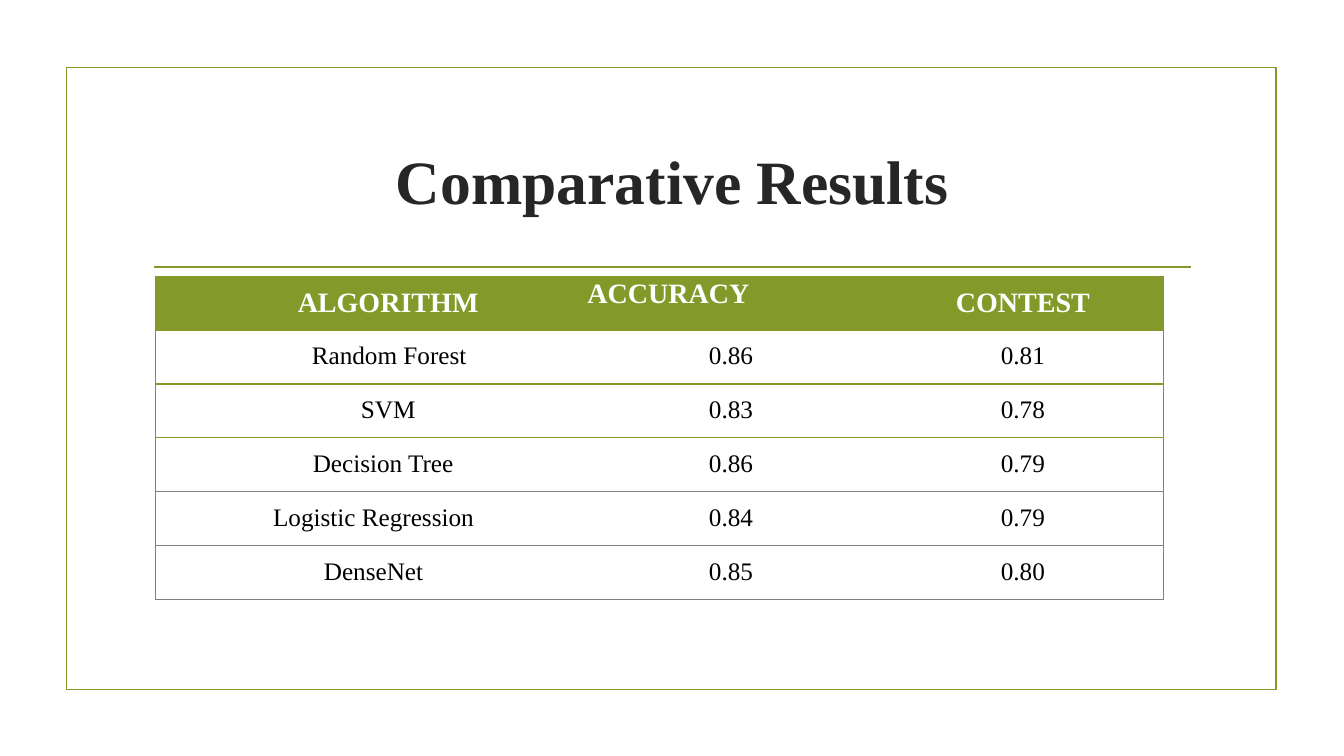
from lxml import etree
from pptx import Presentation
from pptx.dml.color import RGBColor
from pptx.enum.shapes import MSO_CONNECTOR, MSO_SHAPE
from pptx.enum.text import MSO_ANCHOR, PP_ALIGN
from pptx.oxml.ns import qn
from pptx.util import Inches, Pt

LINE, RECT = MSO_CONNECTOR.STRAIGHT, MSO_SHAPE.RECTANGLE
MIDDLE, CENTER = MSO_ANCHOR.MIDDLE, PP_ALIGN.CENTER
FONT = "Times New Roman"
GREEN, GRAY, WHITE, BLACK, DARK = "83992A", "808080", "FFFFFF", "000000", "262626"

HEADS = ["ALGORITHM", "ACCURACY", "CONTEST"]
ROWS = [
    ["Random Forest", "0.86", "0.81"],
    ["SVM", "0.83", "0.78"],
    ["Decision Tree", "0.86", "0.79"],
    ["Logistic Regression", "0.84", "0.79"],
    ["DenseNet", "0.85", "0.80"],
]
WIDTHS = [4.21, 3, 2.79]
HEIGHT = 0.535
# Left inset of the first column, header row first
INSETS = [0.41, 0.43, 0.41, 0.31, 0.12, 0.12]
# Colour of the rule above each row, and below the last
RULES = [GREEN, GREEN, GREEN, GREEN, GRAY, GRAY, GRAY]


def color(code):
    return RGBColor.from_string(code)


def write(frame, text, size, code, bold=False):
    para = frame.paragraphs[0]
    para.alignment = CENTER
    run = para.add_run()
    run.text = text
    font = run.font
    font.name, font.size, font.bold = FONT, Pt(size), bold
    font.color.rgb = color(code)


def add_frame(slide, left, top, width, height):
    box = slide.shapes.add_shape(
        RECT, Inches(left), Inches(top), Inches(width), Inches(height))
    box.shadow.inherit = False
    box.fill.background()
    box.line.color.rgb = color(GREEN)
    box.line.width = Pt(1.25)


def add_rule(slide, left, right, top):
    rule = slide.shapes.add_connector(
        LINE, Inches(left), Inches(top), Inches(right), Inches(top))
    rule.line.color.rgb = color(GREEN)
    rule.line.width = Pt(1.25)
    etree.SubElement(rule._element.spPr, qn("a:effectLst"))


def add_title(slide, text, left, top, width, height):
    frame = slide.shapes.add_textbox(
        Inches(left), Inches(top), Inches(width), Inches(height)).text_frame
    frame.word_wrap = True
    frame.vertical_anchor = MIDDLE
    write(frame, text, 44, DARK, True)


def set_edge(cell, side, code):
    """Draw one cell side, or clear it when no colour is given."""
    props = cell._tc.get_or_add_tcPr()
    edge = etree.SubElement(props, qn("a:ln" + side))
    if code is None:
        etree.SubElement(edge, qn("a:noFill"))
        return
    edge.set("w", str(Pt(1 if code == GREEN else 0.75)))
    fill = etree.SubElement(edge, qn("a:solidFill"))
    etree.SubElement(fill, qn("a:srgbClr")).set("val", code)


def fill_cell(cell, text, row, col):
    head = row == 0
    side = GREEN if head else GRAY
    # Borders come before the fill
    set_edge(cell, "L", side if col == 0 else None)
    set_edge(cell, "R", side if col == len(WIDTHS) - 1 else None)
    set_edge(cell, "T", RULES[row])
    set_edge(cell, "B", RULES[row + 1])
    cell.fill.solid()
    cell.fill.fore_color.rgb = color(GREEN if head else WHITE)
    # Insets place the centred text
    cell.vertical_anchor = MIDDLE
    raised = head and col == 1
    cell.margin_left = Inches(INSETS[row] if col == 0 else 0)
    cell.margin_right = Inches(1.24 if raised else 0)
    cell.margin_top = 0
    cell.margin_bottom = Inches(0.18 if raised else 0 if head else 0.02)
    write(cell.text_frame, text, 20 if head else 18,
          WHITE if head else BLACK, head)


def add_results(slide, left, top):
    data = [HEADS] + ROWS
    table = slide.shapes.add_table(
        len(data), len(WIDTHS), Inches(left), Inches(top),
        Inches(sum(WIDTHS)), Inches(HEIGHT * len(data))).table
    table.horz_banding = False
    for col, width in enumerate(WIDTHS):
        table.columns[col].width = Inches(width)
    for row, texts in enumerate(data):
        table.rows[row].height = Inches(HEIGHT)
        for col, text in enumerate(texts):
            fill_cell(table.cell(row, col), text, row, col)


def main():
    deck = Presentation()
    deck.slide_width, deck.slide_height = Inches(13.33), Inches(7.5)
    slide = deck.slides.add_slide(deck.slide_layouts[6])

    # Border and heading
    add_frame(slide, 0.66, 0.67, 12, 6.17)
    add_rule(slide, 1.53, 11.81, 2.65)
    add_title(slide, "Comparative Results", 1.42, 1.07, 10.5, 1.43)

    # Scores
    add_results(slide, 1.54, 2.74)
    deck.save("out.pptx")


if __name__ == "__main__":
    main()
